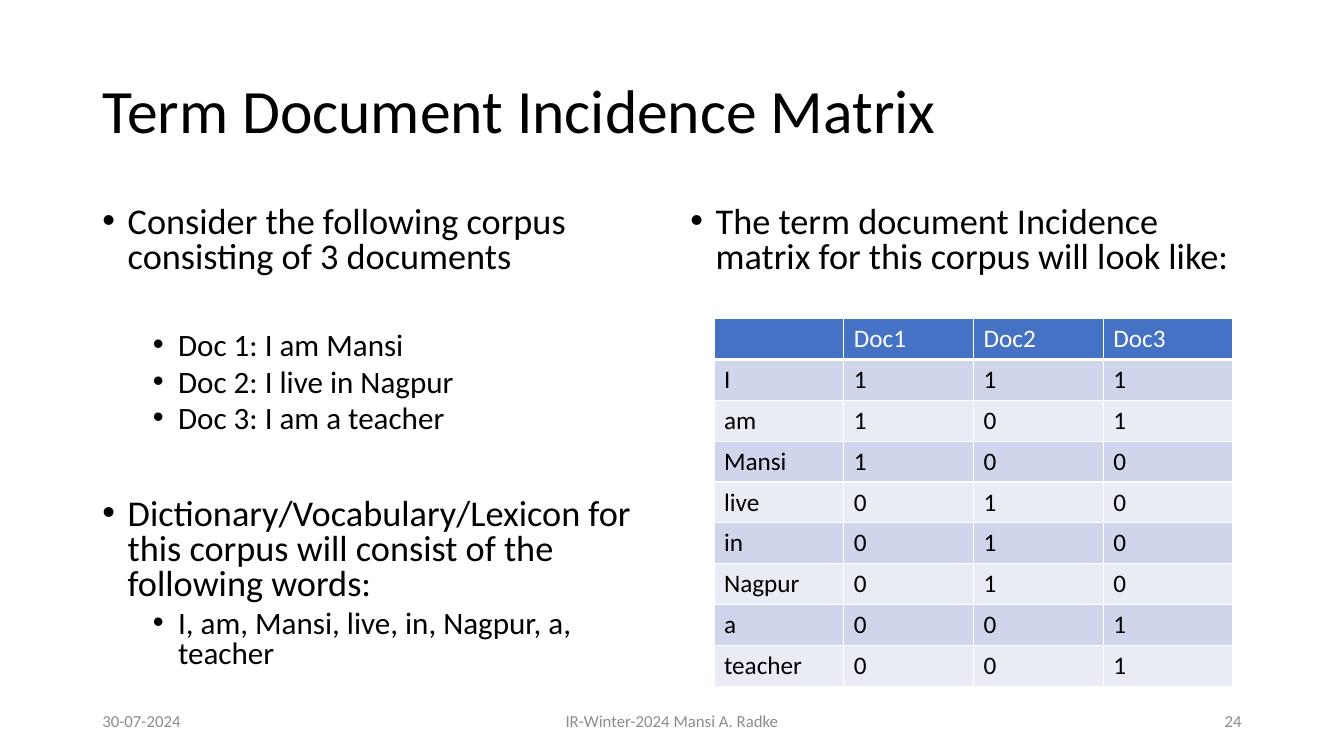
from dataclasses import dataclass

from lxml.etree import SubElement
from pptx import Presentation
from pptx.dml.color import RGBColor
from pptx.enum.text import MSO_ANCHOR as Anchor, MSO_AUTO_SIZE as AutoSize, PP_ALIGN as Align
from pptx.oxml.ns import qn
from pptx.util import Emu, Inches, Pt

FONT = "Calibri"
BLACK = RGBColor(0x00, 0x00, 0x00)
WHITE = RGBColor(0xFF, 0xFF, 0xFF)
GRAY = RGBColor(0x8C, 0x8C, 0x8C)
HEADER_BLUE = RGBColor(0x44, 0x72, 0xC4)
BANDS = (RGBColor(0xE9, 0xEB, 0xF5), RGBColor(0xCF, 0xD5, 0xEA))

WIDTH, HEIGHT = Inches(13.33), Inches(7.5)
COLUMN, ROW = WIDTH / 160, HEIGHT / 150


@dataclass(frozen=True)
class Box:
    col: float
    row: float
    cols: float
    rows: float

    def emu(self) -> tuple[Emu, Emu, Emu, Emu]:
        return (Emu(round(self.col * COLUMN)), Emu(round(self.row * ROW)),
                Emu(round(self.cols * COLUMN)), Emu(round(self.rows * ROW)))


@dataclass(frozen=True)
class Bullet:
    text: str
    level: int = 0
    before: float = 10


@dataclass(frozen=True)
class Footer:
    text: str
    box: Box
    align: Align


TITLE_BOX = Box(11, 8, 138, 29)
CORPUS_BOX = Box(11, 40, 68, 95)
MATRIX_BOX = Box(81, 40, 68, 95)
TABLE_BOX = Box(85, 63.2, 61.8, 72)
BULLET_SIZES = (25.9, 22.2)

CORPUS = [
    Bullet("Consider the following corpus consisting of 3 documents"),
    Bullet("Doc 1: I am Mansi", 1, 40),
    Bullet("Doc 2: I live in Nagpur", 1, 5),
    Bullet("Doc 3: I am a teacher", 1, 5),
    Bullet("Dictionary/Vocabulary/Lexicon for this corpus will consist of the following words:",
           0, 45),
    Bullet("I, am, Mansi, live, in, Nagpur, a, teacher", 1, 5),
]
MATRIX = [Bullet("The term document Incidence matrix for this corpus will look like:")]
INCIDENCE = [
    ("", "Doc1", "Doc2", "Doc3"),
    ("I", "1", "1", "1"),
    ("am", "1", "0", "1"),
    ("Mansi", "1", "0", "0"),
    ("live", "0", "1", "0"),
    ("in", "0", "1", "0"),
    ("Nagpur", "0", "1", "0"),
    ("a", "0", "0", "1"),
    ("teacher", "0", "0", "1"),
]
FOOTERS = [
    Footer("30-07-2024", Box(11, 139, 36, 8), Align.LEFT),
    Footer("IR-Winter-2024 Mansi A. Radke", Box(53, 139, 54, 8), Align.CENTER),
    Footer("24", Box(113, 139, 36, 8), Align.RIGHT),
]


def place(s, box: Box) -> None:
    s.left, s.top, s.width, s.height = box.emu()


def style(p, size: float, color: RGBColor) -> None:
    for r in p.runs:
        r.font.name = FONT
        r.font.size = Pt(size)
        r.font.bold = False
        r.font.color.rgb = color


def draw_title(s, text: str) -> None:
    place(s, TITLE_BOX)
    tf = s.text_frame
    tf.text = text
    tf.auto_size = AutoSize.NONE
    tf.vertical_anchor = Anchor.MIDDLE
    p = tf.paragraphs[0]
    p.alignment = Align.LEFT
    p.line_spacing = 0.9
    style(p, 44, BLACK)


def draw_bullets(s, box: Box, bullets: list[Bullet]) -> None:
    place(s, box)
    tf = s.text_frame
    tf.text = "\n".join(b.text for b in bullets)
    tf.auto_size = AutoSize.NONE
    for p, bullet in zip(tf.paragraphs, bullets):
        p.level = bullet.level
        p.line_spacing = 0.8
        p.space_before = Pt(bullet.before)
        p.space_after = Pt(0)
        props = p._p.get_or_add_pPr()
        props.set("marL", str(Inches(0.25 + 0.5 * bullet.level)))
        props.set("indent", str(Inches(-0.25)))
        SubElement(props, qn("a:buFont"), typeface="Arial")
        SubElement(props, qn("a:buChar"), char="•")
        style(p, BULLET_SIZES[bullet.level], BLACK)


def draw_borders(cell, bottom: float) -> None:
    props = cell._tc.get_or_add_tcPr()
    for side, width in (("L", 1), ("R", 1), ("T", 1), ("B", bottom)):
        line = SubElement(props, qn(f"a:ln{side}"), w=str(Pt(width)))
        fill = SubElement(line, qn("a:solidFill"))
        SubElement(fill, qn("a:srgbClr"), val=str(WHITE))


def draw_table(shapes, box: Box, rows: list[tuple[str, ...]]) -> None:
    table = shapes.add_table(len(rows), len(rows[0]), *box.emu()).table
    table.horz_banding = False
    for i, row in enumerate(rows):
        header = i == 0
        for j, text in enumerate(row):
            cell = table.cell(i, j)
            draw_borders(cell, 3 if header else 1)
            cell.fill.solid()
            cell.fill.fore_color.rgb = HEADER_BLUE if header else BANDS[i % 2]
            cell.text_frame.text = text
            style(cell.text_frame.paragraphs[0], 18, WHITE if header else BLACK)


def draw_footer(shapes, footer: Footer) -> None:
    tf = shapes.add_textbox(*footer.box.emu()).text_frame
    tf.word_wrap = True
    tf.vertical_anchor = Anchor.MIDDLE
    tf.text = footer.text
    p = tf.paragraphs[0]
    p.alignment = footer.align
    style(p, 12, GRAY)


def main() -> None:
    prs = Presentation()
    prs.slide_width, prs.slide_height = WIDTH, HEIGHT
    slide = prs.slides.add_slide(prs.slide_layouts.get_by_name("Two Content"))
    title, corpus, matrix = slide.placeholders
    draw_title(title, "Term Document Incidence Matrix")
    draw_bullets(corpus, CORPUS_BOX, CORPUS)
    draw_bullets(matrix, MATRIX_BOX, MATRIX)
    draw_table(slide.shapes, TABLE_BOX, INCIDENCE)
    for footer in FOOTERS:
        draw_footer(slide.shapes, footer)
    prs.save("out.pptx")


if __name__ == "__main__":
    main()
